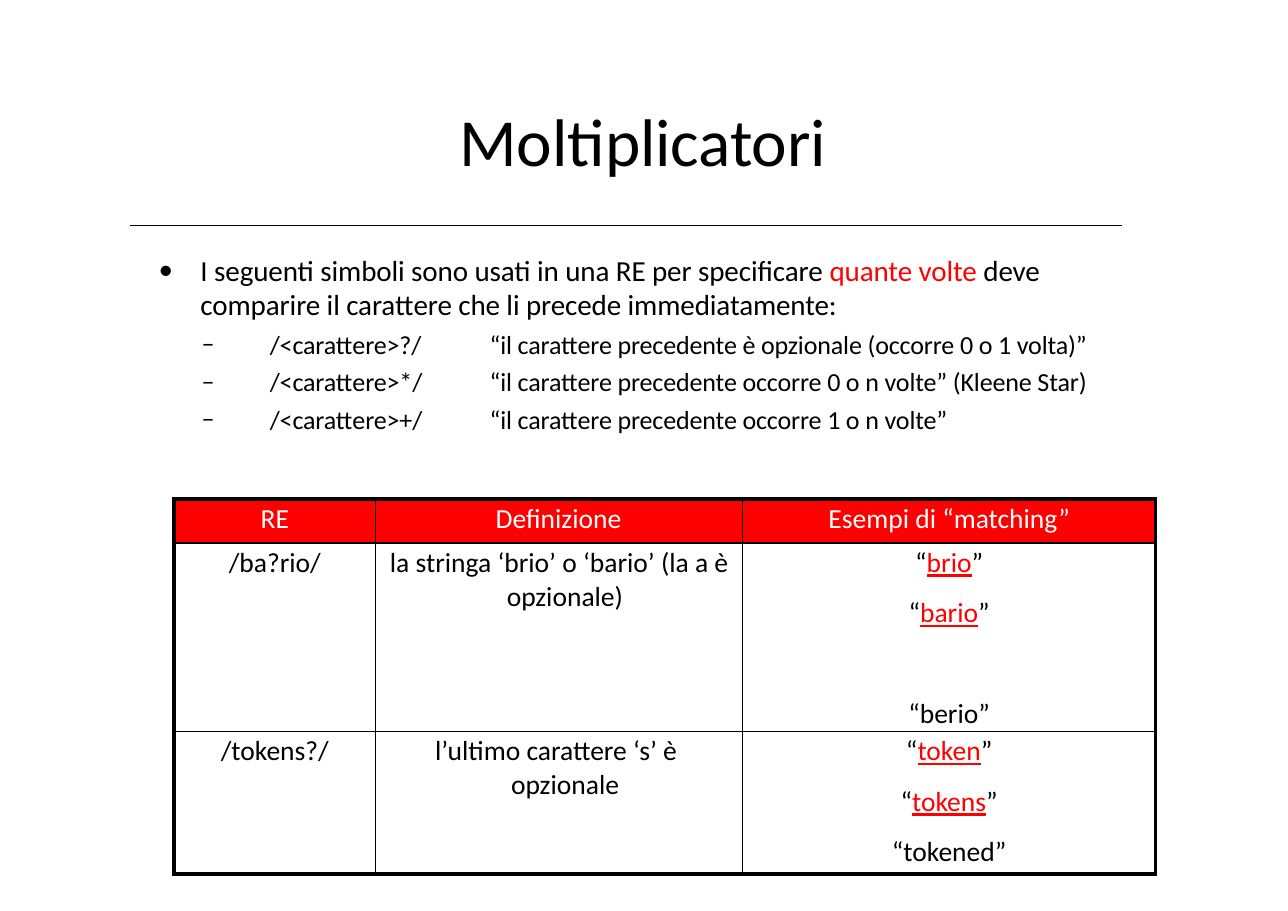
import pptx
import pptx.dml.color
import pptx.enum.shapes
import pptx.enum.text
import pptx.oxml
import pptx.oxml.ns
import pptx.util
import lxml.etree

BLACK, WHITE, RED = "000000", "FFFFFF", "FF0000"
ALIGN = pptx.enum.text.PP_ALIGN
CENTER = {"alignment": ALIGN.CENTER}
HIT = {"color": RED, "underline": True}
HEADER = {"color": WHITE}


def color(value):
    return pptx.dml.color.RGBColor.from_string(value)


def add_child(parent, tag, **attributes):
    child = lxml.etree.SubElement(parent, pptx.oxml.ns.qn(tag))
    for name, value in attributes.items():
        child.set(name, str(value))
    return child


class Deck:
    font_name = "Calibri"

    def __init__(self, width, height):
        self.presentation = pptx.Presentation()
        self.presentation.slide_width = pptx.util.Inches(width)
        self.presentation.slide_height = pptx.util.Inches(height)
        self.slide = self.presentation.slides.add_slide(self.presentation.slide_layouts[5])

    def columns(self, count):
        return round(self.presentation.slide_width * count / 100)

    def rows(self, count):
        return round(self.presentation.slide_height * count / 100)

    def box(self, left, top, width, height):
        return self.columns(left), self.rows(top), self.columns(width), self.rows(height)

    def paragraph(self, paragraph, runs, size, layout, tracking=0):
        for name, value in ({"alignment": ALIGN.LEFT, "space_before": pptx.util.Pt(0)} | layout).items():
            if name not in ("margin", "indent", "bullet"):
                setattr(paragraph, name, value)
        properties = paragraph._p.get_or_add_pPr()
        properties.set("marL", str(self.columns(layout.get("margin", 0))))
        properties.set("indent", str(self.columns(layout.get("indent", 0))))
        if "bullet" in layout:
            add_child(properties, "a:buFont", typeface=self.font_name)
            add_child(properties, "a:buChar", char=layout["bullet"])
        for text, style in runs:
            for index, line in enumerate(text.split("\n")):
                if index:
                    paragraph.add_line_break()
                run = paragraph.add_run()
                run.text = line
                formats = {"name": self.font_name, "size": pptx.util.Pt(size), "color": BLACK} | style
                run.font.color.rgb = color(formats.pop("color"))
                for name, value in formats.items():
                    setattr(run.font, name, value)
                if tracking:
                    run._r.get_or_add_rPr().set("spc", str(tracking))

    def fill_frame(self, shape, paragraphs, size, layout, inset, tracking):
        frame = shape.text_frame
        formats = {
            "word_wrap": True,
            "auto_size": pptx.enum.text.MSO_AUTO_SIZE.NONE,
            "vertical_anchor": pptx.enum.text.MSO_ANCHOR.TOP,
            "margin_left": 0,
            "margin_right": 0,
            "margin_bottom": 0,
            "margin_top": self.rows(inset),
        }
        for name, value in formats.items():
            setattr(frame, name, value)
        for index, runs in enumerate(paragraphs):
            paragraph = frame.add_paragraph() if index else frame.paragraphs[0]
            self.paragraph(paragraph, runs, size, layout, tracking)

    def title(self, text, place, size):
        shape = self.slide.shapes.title
        for name, value in zip(("left", "top", "width", "height"), self.box(*place)):
            setattr(shape, name, value)
        self.fill_frame(shape, [[(text, {})]], size, {}, 0.1, -10)

    def text(self, paragraphs, place, size, layout, inset=0.1, tracking=-10):
        shape = self.slide.shapes.add_textbox(*self.box(*place))
        self.fill_frame(shape, paragraphs, size, layout, inset, tracking)

    def rule(self, left, top, width, weight):
        ends = self.columns(left), self.rows(top), self.columns(left + width), self.rows(top)
        line = self.slide.shapes.add_connector(pptx.enum.shapes.MSO_CONNECTOR.STRAIGHT, *ends)
        line.line.color.rgb = color(BLACK)
        line.line.width = pptx.util.Pt(weight)
        add_child(line._element.spPr, "a:effectLst")

    def borders(self, cell, weights):
        properties = cell._tc.get_or_add_tcPr()
        for index, (side, weight) in enumerate(weights.items()):
            border = add_child(properties, f"a:ln{side}", w=pptx.util.Pt(weight))
            add_child(add_child(border, "a:solidFill"), "a:srgbClr", val=BLACK)
            properties.insert(index, border)

    def table(self, cells, left, top, widths, heights, size):
        place = self.box(left, top, sum(widths), sum(heights))
        table = self.slide.shapes.add_table(len(heights), len(widths), *place).table
        table.first_row = table.horz_banding = False
        for column, width in zip(table.columns, widths):
            column.width = self.columns(width)
        for row, height in zip(table.rows, heights):
            row.height = self.rows(height)
        last_row, last_column = len(heights) - 1, len(widths) - 1
        for row, contents in enumerate(cells):
            for column, paragraphs in enumerate(contents):
                cell = table.cell(row, column)
                for side in ("left", "right", "bottom"):
                    setattr(cell, f"margin_{side}", 0)
                cell.margin_top = self.rows(0.36)
                if row:
                    cell.fill.background()
                else:
                    cell.fill.solid()
                    cell.fill.fore_color.rgb = color(RED)
                self.borders(cell, {
                    "L": 1 if column else 3,
                    "R": 2.25 if column == last_column else 1,
                    "T": 1.5 if row else 3,
                    "B": 3 if row == last_row else 1.5,
                })
                for index, (runs, layout) in enumerate(paragraphs):
                    paragraph = cell.text_frame.add_paragraph() if index else cell.text_frame.paragraphs[0]
                    self.paragraph(paragraph, runs, size, layout)


def plain(text, layout=CENTER, style={}):
    return [([(text, style)], layout)]


def examples(matches, miss, gap):
    spaced = CENTER | {"line_spacing": 1.5}
    lines = [
        ([("“", {}), (word, HIT), ("”", {})], spaced if index else CENTER)
        for index, word in enumerate(matches)
    ]
    return lines + plain(f"“{miss}”", spaced | {"space_before": pptx.util.Pt(gap)})


def main():
    deck = Deck(11.69, 8.27)
    deck.rule(10.09, 24.79, 77, 0.5)
    deck.title("Moltiplicatori", (35.67, 10.76, 29.08, 9.19), 44)
    deck.text(
        [[
            ("I seguenti simboli sono usati in una RE per specificare ", {}),
            ("quante volte ", {"color": RED}),
            ("deve comparire il carattere che li precede immediatamente:", {}),
        ]],
        (12.23, 27.57, 69.46, 7.98), 19,
        {"margin": 3.34, "indent": -3.25, "bullet": "•"}, tracking=-6,
    )
    multipliers = {
        "?": "“il carattere precedente è opzionale (occorre 0 o 1 volta)”",
        "*": "“il carattere precedente occorre 0 o n volte” (Kleene Star)",
        "+": "“il carattere precedente occorre 1 o n volte”",
    }
    spacing = {"space_before": pptx.util.Pt(4.1)}
    deck.text(
        [[(f"/<carattere>{symbol}/", {})] for symbol in multipliers],
        (15.48, 35.19, 20, 12.7), 17,
        spacing | {"margin": 5.47, "indent": -5.3, "bullet": "–"}, 0.85,
    )
    deck.text(
        [[(meaning, {})] for meaning in multipliers.values()],
        (38.02, 35.19, 50, 12.7), 17, spacing, 0.85,
    )
    deck.table(
        [
            [
                plain("RE", CENTER, HEADER),
                plain("Definizione", {"margin": 9.32}, HEADER),
                plain("Esempi di “matching”", {"margin": 6.67}, HEADER),
            ],
            [
                plain("/ba?rio/"),
                plain("la stringa ‘brio’ o ‘bario’ (la a è\nopzionale)", {"margin": 10.18, "indent": -9.07}),
                examples(["brio", "bario"], "berio", 33),
            ],
            [
                plain("/tokens?/"),
                plain("l’ultimo carattere ‘s’ è\nopzionale", {"margin": 10.52, "indent": -5.9}),
                examples(["token", "tokens"], "tokened", 0),
            ],
        ],
        13.52, 54.78, (15.65, 28.49, 32.08), (4.84, 20.68, 15.6), 18,
    )
    deck.presentation.save("out.pptx")


if __name__ == "__main__":
    main()
